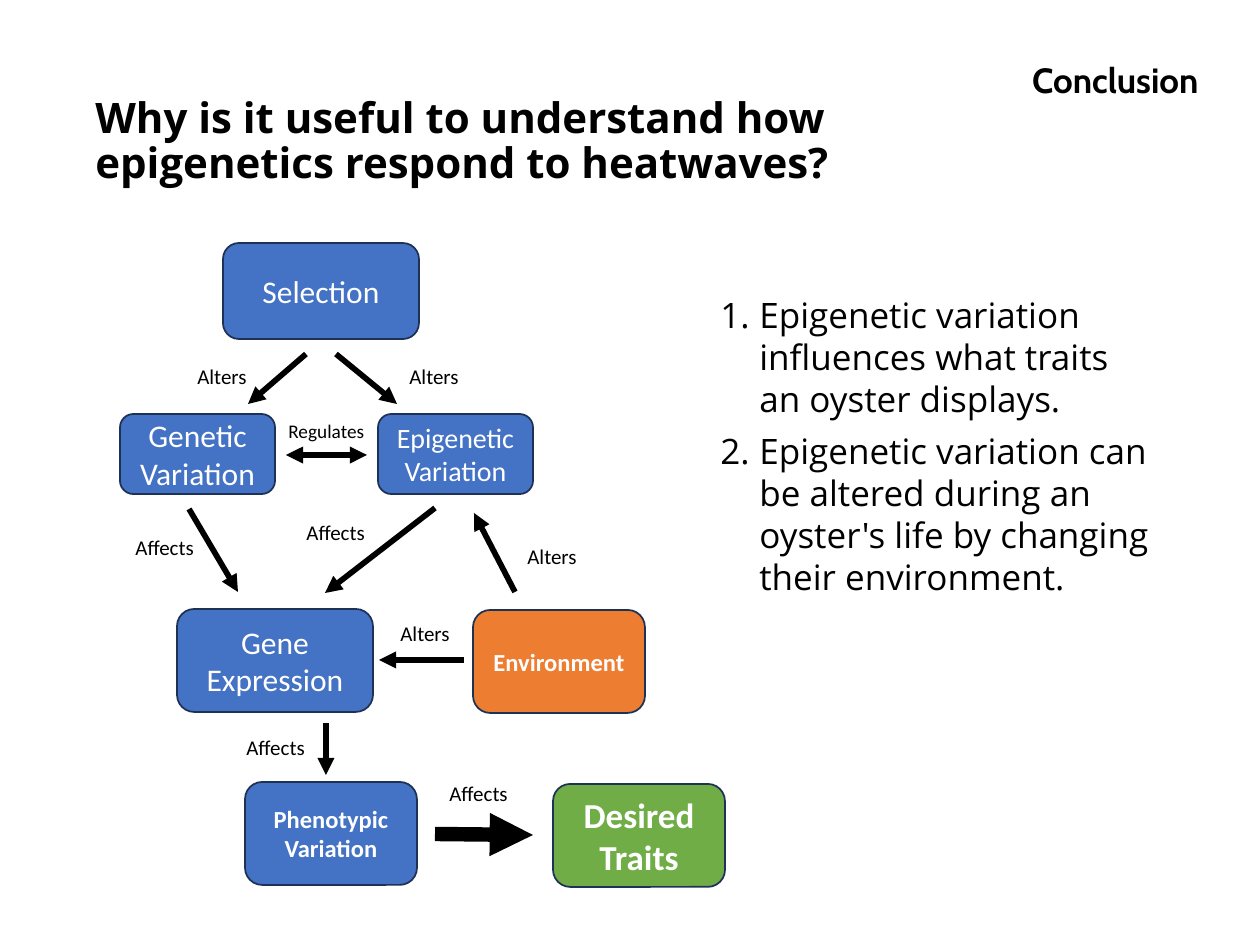
from lxml.etree import SubElement
from pptx import Presentation
from pptx.dml.color import RGBColor
from pptx.enum.shapes import MSO_CONNECTOR, MSO_SHAPE
from pptx.enum.text import MSO_ANCHOR, MSO_AUTO_SIZE, PP_ALIGN
from pptx.oxml.ns import qn
from pptx.util import Emu, Pt

COLORS = {
    "black": "000000",
    "white": "FFFFFF",
    "blue": "4472C4",
    "orange": "ED7D31",
    "green": "70AD47",
    "outline": "1E3256",
}


def px(length):
    return Emu(round(length * 914400 / 126))


def style(paragraph, font_name, size, color="black", bold=False):
    for run in paragraph.runs:
        run.font.name = font_name
        run.font.size = Pt(size)
        run.font.bold = bold
        run.font.color.rgb = RGBColor.from_string(COLORS[color])


presentation = Presentation()
presentation.slide_width = px(1260)
presentation.slide_height = px(945)
slide = presentation.slides.add_slide(presentation.slide_layouts[6])

# Title and section name
headings = [
    ("Why is it useful to understand how epigenetics respond to heatwaves?",
     83, 58, 825, 136, "Open Sans", 24, PP_ALIGN.LEFT, MSO_ANCHOR.BOTTOM),
    ("Conclusion", 694, 57, 517, 57, "Cabin", 20, PP_ALIGN.RIGHT, MSO_ANCHOR.TOP),
]
for text, left, top, width, height, font_name, size, alignment, anchor in headings:
    heading = slide.shapes.add_textbox(px(left), px(top), px(width), px(height))
    text_frame = heading.text_frame
    text_frame.word_wrap = True
    text_frame.vertical_anchor = anchor
    text_frame.text = text
    paragraph = text_frame.paragraphs[0]
    paragraph.alignment = alignment
    paragraph.line_spacing = 0.9
    style(paragraph, font_name, size, bold=True)

# Diagram boxes: text, left, top, width, height, fill, size, bold
boxes = [
    ("Selection", 223, 243, 196, 96, "blue", 18, False),
    ("Genetic Variation", 120, 414, 155, 80, "blue", 18, False),
    ("Epigenetic Variation", 378, 414, 155, 80, "blue", 16, False),
    ("Gene Expression", 177, 609, 196, 103, "blue", 18, False),
    ("Environment", 473, 610, 172, 103, "orange", 14, True),
    ("Phenotypic Variation", 245, 782, 172, 103, "blue", 14, True),
    ("Desired Traits", 553, 784, 172, 103, "green", 20, True),
]
for text, left, top, width, height, fill, size, bold in boxes:
    box = slide.shapes.add_shape(
        MSO_SHAPE.ROUNDED_RECTANGLE, px(left), px(top), px(width), px(height))
    box.shadow.inherit = False
    box.fill.solid()
    box.fill.fore_color.rgb = RGBColor.from_string(COLORS[fill])
    box.line.color.rgb = RGBColor.from_string(COLORS["outline"])
    box.line.width = Pt(1)
    text_frame = box.text_frame
    text_frame.word_wrap = True
    text_frame.vertical_anchor = MSO_ANCHOR.MIDDLE
    text_frame.text = text
    text_frame.paragraphs[0].alignment = PP_ALIGN.CENTER
    style(text_frame.paragraphs[0], "Calibri", size, "white", bold)

# Arrows: start, end, line width, arrowheads
arrows = [
    (336, 354, 397, 404, 3.25, ["tailEnd"]),
    (367, 455, 286, 455, 3.25, ["headEnd", "tailEnd"]),
    (306, 354, 248, 404, 3.25, ["tailEnd"]),
    (189, 509, 238, 592, 3.25, ["tailEnd"]),
    (435, 508, 325, 593, 3.25, ["tailEnd"]),
    (515, 592, 474, 513, 3.25, ["tailEnd"]),
    (326, 723, 326, 775, 3.25, ["tailEnd"]),
    (435, 834, 533, 835, 8.25, ["tailEnd"]),
    (464, 660, 379, 660, 3.25, ["tailEnd"]),
]
for start_x, start_y, end_x, end_y, width, heads in arrows:
    arrow = slide.shapes.add_connector(
        MSO_CONNECTOR.STRAIGHT, px(start_x), px(start_y), px(end_x), px(end_y))
    arrow.line.color.rgb = RGBColor.from_string(COLORS["black"])
    arrow.line.width = Pt(width)
    for head in heads:
        SubElement(arrow.line._get_or_add_ln(), qn("a:" + head), type="triangle")
    SubElement(arrow._element.spPr, qn("a:effectLst"))

# Arrow labels: box width and font size by word, then places
label_sizes = {"Alters": (76, 12), "Affects": (84, 12), "Regulates": (102, 11)}
labels = [
    ("Alters", 397, 357), ("Alters", 185, 357), ("Regulates", 276, 413),
    ("Affects", 294, 513), ("Affects", 123, 528), ("Alters", 515, 537),
    ("Affects", 234, 728), ("Affects", 437, 774), ("Alters", 388, 614),
]
for text, left, top in labels:
    width, size = label_sizes[text]
    label = slide.shapes.add_textbox(px(left), px(top), px(width), px(38))
    label.text_frame.word_wrap = False
    label.text_frame.auto_size = MSO_AUTO_SIZE.SHAPE_TO_FIT_TEXT
    label.text_frame.text = text
    style(label.text_frame.paragraphs[0], "Calibri", size)

# Numbered conclusions
conclusions = [
    "Epigenetic variation influences what traits an oyster displays.",
    "Epigenetic variation can be altered during an oyster's life by changing "
    "their environment.",
]
conclusion_list = slide.shapes.add_textbox(px(708), px(287), px(459), px(320))
text_frame = conclusion_list.text_frame
text_frame.word_wrap = True
text_frame.auto_size = MSO_AUTO_SIZE.SHAPE_TO_FIT_TEXT
text_frame.text = "\n".join(conclusions)
for paragraph in text_frame.paragraphs:
    paragraph.space_after = Pt(6)
    properties = paragraph._p.get_or_add_pPr()
    properties.set("marL", str(px(39)))
    properties.set("indent", str(-px(39)))
    SubElement(properties, qn("a:buFont"), typeface="+mj-lt")
    SubElement(properties, qn("a:buAutoNum"), type="arabicPeriod")
    style(paragraph, "Open Sans", 20)

presentation.save("out.pptx")
